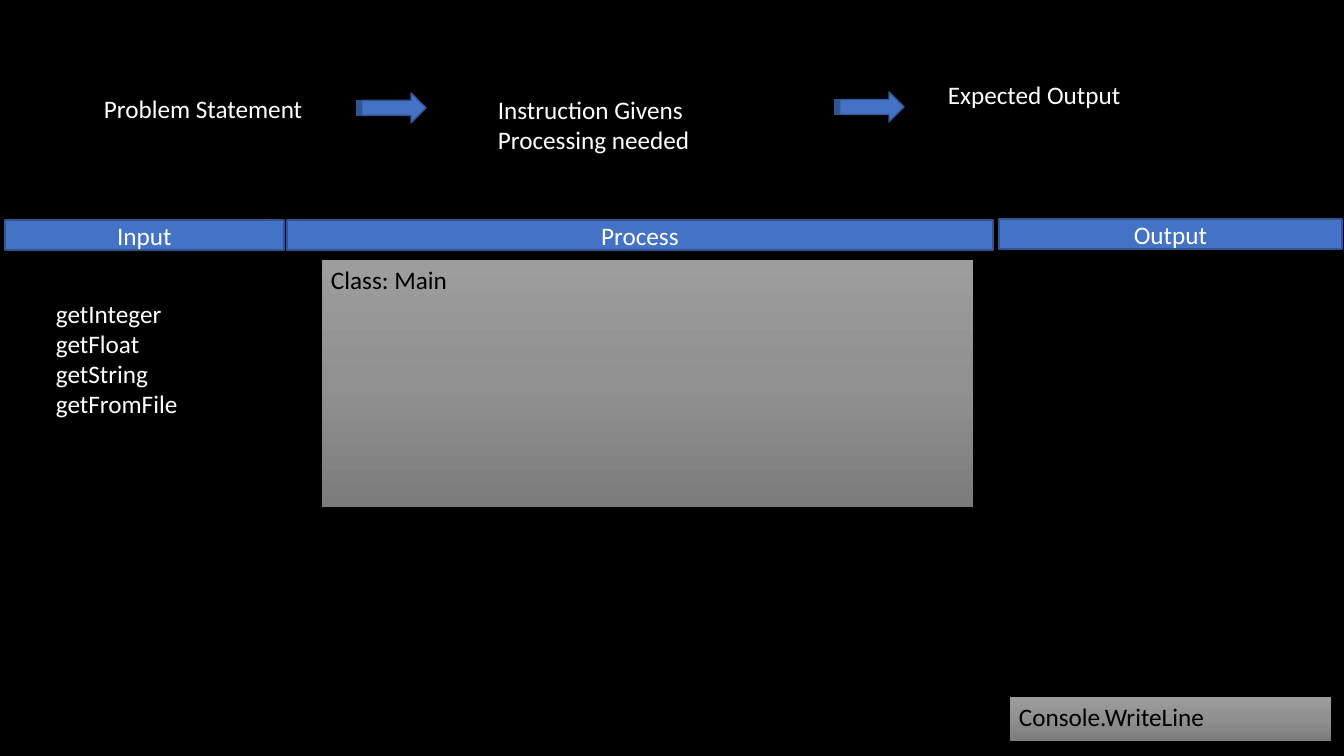
import copy
from dataclasses import dataclass

import pptx
import pptx.dml.color
import pptx.enum.shapes
import pptx.enum.text
import pptx.oxml.ns
import pptx.util

SHAPES = pptx.enum.shapes.MSO_SHAPE
ANCHOR = pptx.enum.text.MSO_ANCHOR
ALIGN = pptx.enum.text.PP_ALIGN
AUTO_SIZE = pptx.enum.text.MSO_AUTO_SIZE
EMU_PER_PX = 914400 / 100.8


@dataclass(frozen=True)
class Theme:
    font: str = "Calibri"
    text_size: int = 18
    background: str = "000000"
    light_text: str = "FFFFFF"
    dark_text: str = "000000"
    accent: str = "4472C4"
    accent_line: str = "325491"
    panel_line: str = "000000"
    panel_stops: tuple = ((0, "9D9D9D"), (0.5, "909090"), (1, "7C7C7C"))


def px(length):
    return pptx.util.Emu(round(length * EMU_PER_PX))


def rgb(value):
    return pptx.dml.color.RGBColor.from_string(value)


def set_values(target, values):
    for name, value in values.items():
        setattr(target, name, value)


class SlideBuilder:
    def __init__(self, slide, theme):
        self.slide = slide
        self.theme = theme
        fill = slide.background.fill
        fill.solid()
        fill.fore_color.rgb = rgb(theme.background)

    def set_text(self, shape, lines, color, alignment=ALIGN.LEFT, **frame_values):
        frame = shape.text_frame
        set_values(frame, frame_values)
        frame.text = "\n".join(lines)
        for paragraph in frame.paragraphs:
            paragraph.alignment = alignment
            for run in paragraph.runs:
                set_values(run.font, {"name": self.theme.font,
                                      "size": pptx.util.Pt(self.theme.text_size)})
                run.font.color.rgb = rgb(color)

    def shape(self, kind, box, line_color, line_width):
        shape = self.slide.shapes.add_shape(kind, *map(px, box))
        shape.shadow.inherit = False
        shape.line.color.rgb = rgb(line_color)
        shape.line.width = pptx.util.Pt(line_width)
        return shape

    def accent_shape(self, kind, box):
        shape = self.shape(kind, box, self.theme.accent_line, 1)
        shape.fill.solid()
        shape.fill.fore_color.rgb = rgb(self.theme.accent)
        return shape

    def header(self, text, box):
        bar = self.accent_shape(SHAPES.RECTANGLE, box)
        self.set_text(bar, [text], self.theme.light_text, ALIGN.CENTER,
                      vertical_anchor=ANCHOR.MIDDLE)

    def arrow(self, box):
        self.accent_shape(SHAPES.STRIPED_RIGHT_ARROW, box)

    def panel(self, text, box):
        """Draw a grey box shaded from top to bottom, with its text at the top."""
        panel = self.shape(SHAPES.RECTANGLE, box, self.theme.panel_line, 0.5)
        panel.fill.gradient()
        panel.fill.gradient_angle = 270
        stop_list = panel._element.spPr.find(".//" + pptx.oxml.ns.qn("a:gsLst"))
        stop_list.insert(1, copy.deepcopy(stop_list[0]))
        for stop, (position, color) in zip(panel.fill.gradient_stops,
                                           self.theme.panel_stops):
            stop.position = position
            stop.color.rgb = rgb(color)
        self.set_text(panel, [text], self.theme.dark_text,
                      vertical_anchor=ANCHOR.TOP)

    def label(self, lines, box):
        label = self.slide.shapes.add_textbox(*map(px, box))
        self.set_text(label, lines, self.theme.light_text, word_wrap=False,
                      auto_size=AUTO_SIZE.SHAPE_TO_FIT_TEXT)


def main():
    presentation = pptx.Presentation()
    set_values(presentation, {"slide_width": px(1344), "slide_height": px(756)})
    slide = presentation.slides.add_slide(presentation.slide_layouts[6])
    builder = SlideBuilder(slide, Theme())

    builder.header("Process", (287, 220, 706, 30))
    builder.header("Input", (5, 220, 279, 30))
    builder.header("Output", (999, 219, 343, 30))
    builder.panel("Class: Main", (321, 259, 652, 248))

    builder.arrow((357, 93, 69, 30))
    builder.arrow((835, 92, 69, 30))
    builder.label(["Problem Statement"], (94, 88, 221, 40))
    builder.label(["Instruction Givens", "Processing needed"],
                  (488, 89, 214, 72))
    builder.label(["Expected Output"], (938, 74, 195, 40))

    builder.label(["getInteger", "getFloat", "getString", "getFromFile"],
                  (46, 293, 143, 132))
    builder.panel("Console.WriteLine", (1009, 696, 322, 45))

    presentation.save("out.pptx")


if __name__ == "__main__":
    main()
